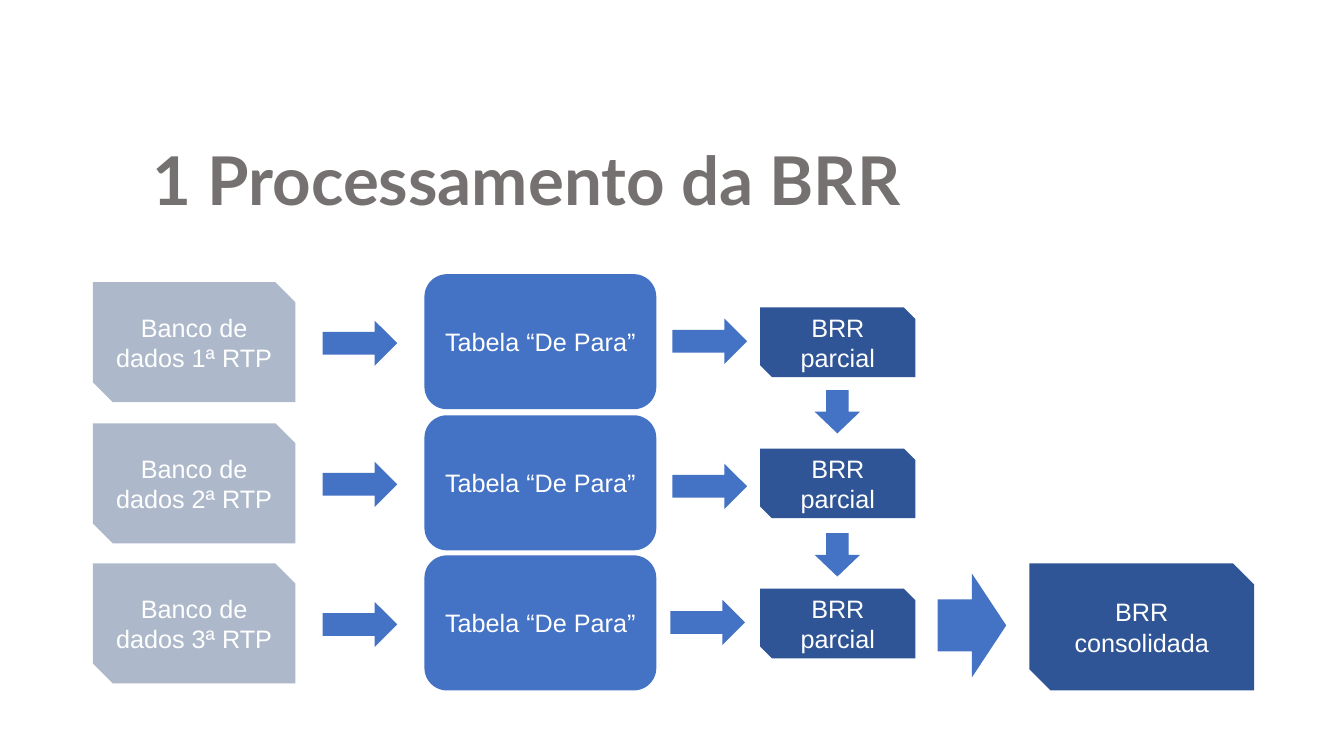
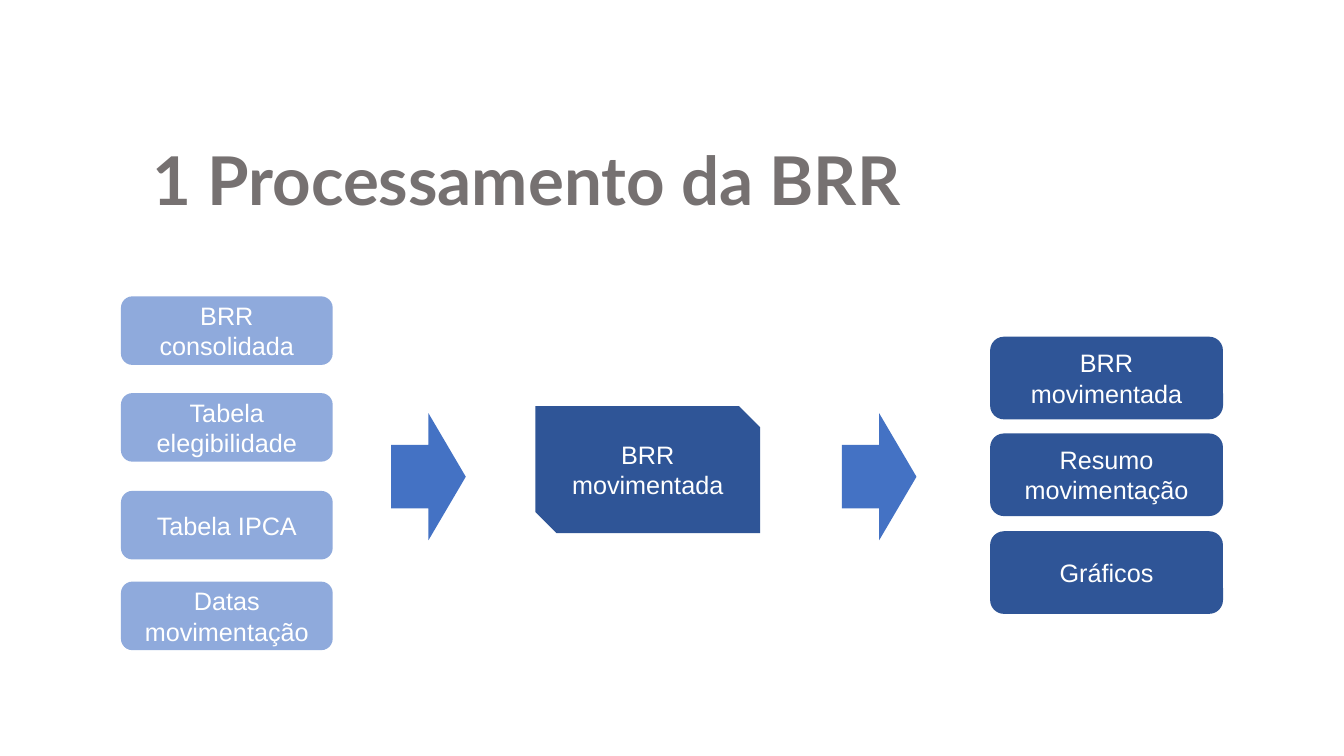
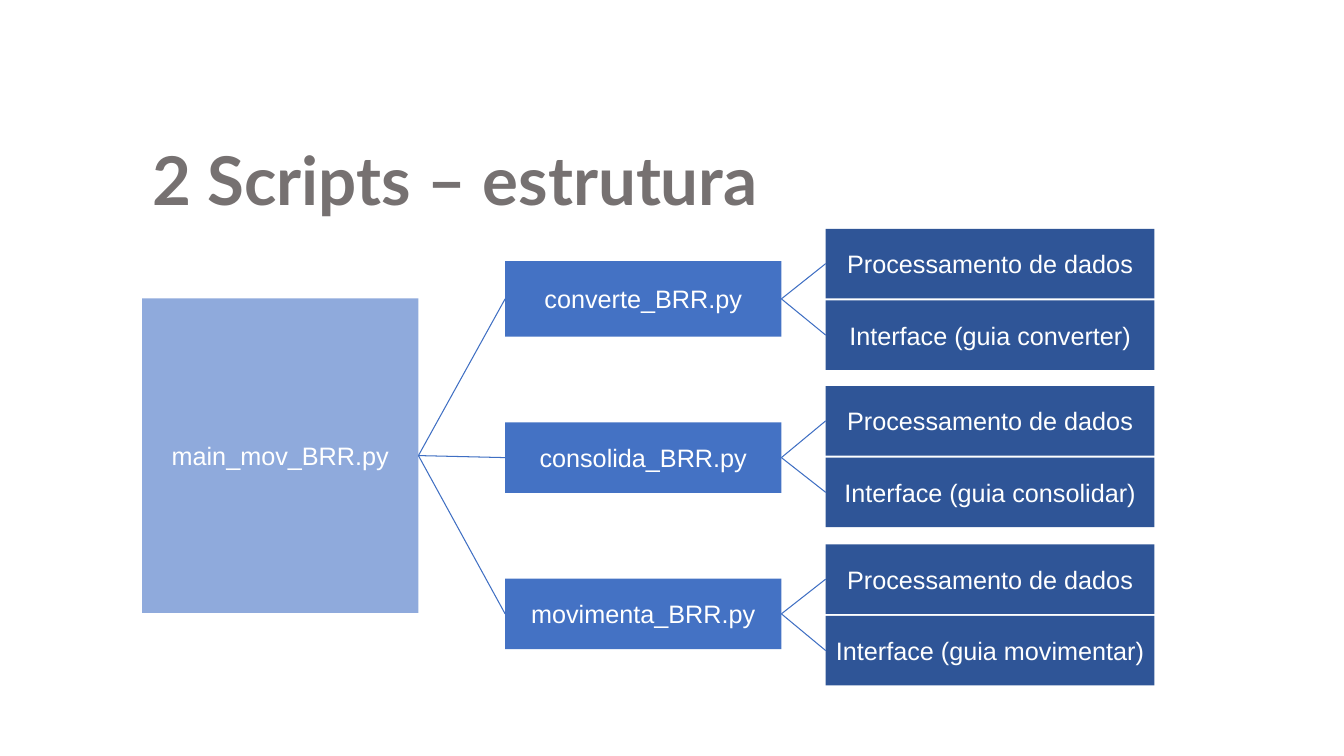
import dataclasses

import lxml.etree
import pptx
import pptx.dml.color
import pptx.enum.shapes
import pptx.enum.text
import pptx.oxml.ns
import pptx.util

PX = 9144  # 100 px to the inch
SHAPES = pptx.enum.shapes.MSO_SHAPE
ANCHOR = pptx.enum.text.MSO_ANCHOR
ALIGN = pptx.enum.text.PP_ALIGN


@dataclasses.dataclass(frozen=True)
class Theme:
    title: str = "767171"
    text: str = "FFFFFF"
    muted: str = "ADB9CA"
    light: str = "8FAADC"
    blue: str = "4472C4"
    dark: str = "2F5597"
    line: str = "3F6FC3"
    title_font: str = "Lato"
    text_font: str = "Arial"
    title_size: int = 48
    text_size: int = 18
    line_width: float = 0.75


theme = Theme()


def style_text(text_frame, font_name, size, color, bold, alignment, anchor):
    text_frame.word_wrap = True
    text_frame.vertical_anchor = anchor
    for paragraph in text_frame.paragraphs:
        paragraph.alignment = alignment
        for run in paragraph.runs:
            run.font.name = font_name
            run.font.size = pptx.util.Pt(size)
            run.font.bold = bold
            run.font.color.rgb = pptx.dml.color.RGBColor.from_string(color)


def add_block(slide, kind, fill, left, top, width, height, text=""):
    shape = slide.shapes.add_shape(kind, left * PX, top * PX, width * PX, height * PX)
    shape.shadow.inherit = False
    shape.fill.solid()
    shape.fill.fore_color.rgb = pptx.dml.color.RGBColor.from_string(fill)
    shape.line.fill.background()
    if text:
        shape.text_frame.text = text
        style_text(shape.text_frame, theme.text_font, theme.text_size, theme.text,
                   False, ALIGN.CENTER, ANCHOR.MIDDLE)
    return shape


presentation = pptx.Presentation()
presentation.slide_width = 1333 * PX
presentation.slide_height = 750 * PX

# Shared title position, then one titled slide per entry
layout = presentation.slide_layouts.get_by_name("Title Only")
layout_title = layout.placeholders[0]
layout_title.left, layout_title.top = 141 * PX, 92 * PX
layout_title.width, layout_title.height = 1004 * PX, 119 * PX

slides = []
for title_text in ("1 Processamento da BRR", "1 Processamento da BRR", "2 Scripts – estrutura"):
    slide = presentation.slides.add_slide(layout)
    title_frame = slide.shapes.title.text_frame
    title_frame.text = title_text
    title_frame.auto_size = pptx.enum.text.MSO_AUTO_SIZE.SHAPE_TO_FIT_TEXT
    title_frame.paragraphs[0].line_spacing = 1.5
    style_text(title_frame, theme.title_font, theme.title_size, theme.title,
               True, ALIGN.LEFT, ANCHOR.TOP)
    slides.append(slide)
consolidation_slide, movement_slide, scripts_slide = slides

# Consolidation: one row per database, by row centre and second arrow position
rows = [(339, 667, 316), (479, 667, 460), (618, 665, 595)]
for number, (center, arrow_left, arrow_top) in enumerate(rows, start=1):
    add_block(consolidation_slide, SHAPES.SNIP_2_DIAG_RECTANGLE, theme.muted,
              92, center - 59, 201, 119, f"Banco de dados {number}ª RTP")
    add_block(consolidation_slide, SHAPES.RIGHT_ARROW, theme.blue, 320, center - 21, 74, 45)
    add_block(consolidation_slide, SHAPES.ROUNDED_RECTANGLE, theme.blue,
              421, center - 67, 230, 134, "Tabela “De Para”")
    add_block(consolidation_slide, SHAPES.RIGHT_ARROW, theme.blue, arrow_left, arrow_top, 74, 45)
    add_block(consolidation_slide, SHAPES.SNIP_2_DIAG_RECTANGLE, theme.dark,
              754, center - 34, 154, 69, "BRR parcial")

for top in (386, 528):
    down_arrow = add_block(consolidation_slide, SHAPES.RIGHT_ARROW, theme.blue, 809, top, 43, 45)
    down_arrow.rotation = 90
add_block(consolidation_slide, SHAPES.RIGHT_ARROW, theme.blue, 930, 569, 68, 103)
add_block(consolidation_slide, SHAPES.SNIP_2_DIAG_RECTANGLE, theme.dark,
          1021, 559, 223, 126, "BRR consolidada")

# Movement: inputs, process, outputs
inputs = [(294, "BRR consolidada"), (390, "Tabela elegibilidade"),
          (487, "Tabela IPCA"), (577, "Datas movimentação")]
for top, text in inputs:
    add_block(movement_slide, SHAPES.ROUNDED_RECTANGLE, theme.light, 120, top, 210, 68, text)

add_block(movement_slide, SHAPES.SNIP_2_DIAG_RECTANGLE, theme.dark,
          531, 403, 223, 126, "BRR movimentada")
for left in (388, 835):
    add_block(movement_slide, SHAPES.RIGHT_ARROW, theme.blue, left, 410, 74, 126)

outputs = [(334, "BRR movimentada"), (430, "Resumo movimentação"), (527, "Gráficos")]
for top, text in outputs:
    add_block(movement_slide, SHAPES.ROUNDED_RECTANGLE, theme.dark, 982, top, 231, 82, text)

# Scripts: tree of main script, modules and their parts
main_block = add_block(scripts_slide, SHAPES.RECTANGLE, theme.light,
                       141, 296, 274, 312, "main_mov_BRR.py")
branches = []
modules = [("converte", 259, 75, 227), ("consolida", 419, 70, 383), ("movimenta", 574, 70, 540)]
for name, top, height, parts_top in modules:
    module_block = add_block(scripts_slide, SHAPES.RECTANGLE, theme.blue,
                             501, top, 274, height, f"{name}_BRR.py")
    branches.append((main_block, module_block))
    for index, text in enumerate(("Processamento de dados", f"Interface (guia {name}r)")):
        part_block = add_block(scripts_slide, SHAPES.RECTANGLE, theme.dark,
                               819, parts_top + index * 71, 326, 69, text)
        branches.append((module_block, part_block))

# Branches run from the right side of a parent to the left side of its child
for parent, child in branches:
    connector = scripts_slide.shapes.add_connector(
        pptx.enum.shapes.MSO_CONNECTOR.STRAIGHT, 0, 0, 0, 0)
    connector.begin_connect(parent, 3)
    connector.end_connect(child, 1)
    connector.line.color.rgb = pptx.dml.color.RGBColor.from_string(theme.line)
    connector.line.width = pptx.util.Pt(theme.line_width)
    lxml.etree.SubElement(connector._element.spPr, pptx.oxml.ns.qn("a:effectLst"))

presentation.save("out.pptx")
